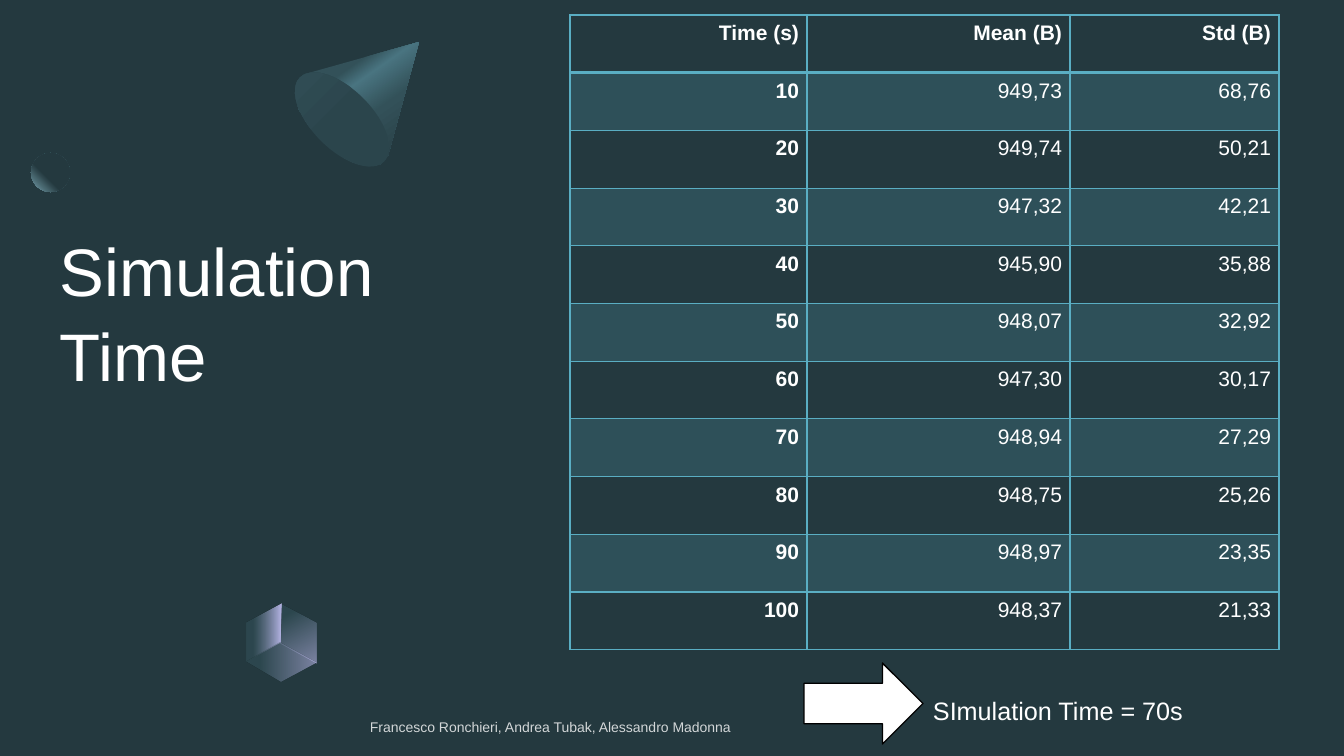
from lxml import etree
from pptx import Presentation
from pptx.dml.color import RGBColor
from pptx.enum.shapes import MSO_SHAPE
from pptx.enum.text import MSO_ANCHOR, PP_ALIGN
from pptx.oxml import parse_xml
from pptx.oxml.ns import nsdecls, qn
from pptx.util import Pt

PX = 9072
OVAL, ARROW = MSO_SHAPE.OVAL, MSO_SHAPE.RIGHT_ARROW
TOP, MIDDLE, BOTTOM = MSO_ANCHOR.TOP, MSO_ANCHOR.MIDDLE, MSO_ANCHOR.BOTTOM
RIGHT = PP_ALIGN.RIGHT
COLORS = {
    "night": "24393F", "slate": "335159", "shade": "2B454C", "teal": "497480",
    "mist": "7CA8B4", "lilac": "B8B6E7", "accent": "5AAEC3",
    "white": "FFFFFF", "black": "000000",
}


def style_text(para, text, size, bold=False):
    para.text = text
    para.font.name = "Arial"
    para.font.size = Pt(size)
    para.font.bold = bold
    para.font.color.rgb = RGBColor.from_string(COLORS["white"])


def paint_gradient(shape, stops, direction):
    shape.shadow.inherit = False
    shape.line.fill.background()
    shape.fill.background()
    marks = "".join(
        f'<a:gs pos="{place * 1000}"><a:srgbClr val="{COLORS[color]}">'
        f'<a:alpha val="{alpha * 1000}"/></a:srgbClr></a:gs>'
        for place, color, alpha in stops)
    gradient = parse_xml(
        f'<a:gradFill {nsdecls("a")} rotWithShape="1">'
        f'<a:gsLst>{marks}</a:gsLst>{direction}</a:gradFill>')
    properties = shape._element.spPr
    properties.replace(properties.find(qn("a:noFill")), gradient)


deck = Presentation()
deck.slide_width, deck.slide_height = 1344 * PX, 756 * PX
page = deck.slides.add_slide(deck.slide_layouts[6])
page.background.fill.solid()
page.background.fill.fore_color.rgb = RGBColor.from_string(COLORS["night"])

ball = page.shapes.add_shape(OVAL, 31 * PX, 153 * PX, 39 * PX, 39 * PX)
paint_gradient(
    ball, [(60, "night", 100), (100, "mist", 100)],
    '<a:path path="circle"><a:fillToRect l="100000" b="100000"/></a:path>')

rim_curves = [
    [(388, 156), (387, 158), (385, 160), (384, 161)],
    [(384, 161), (373, 173), (345, 164), (322, 140)],
    [(322, 140), (297, 117), (288, 89), (300, 78)],
    [(300, 78), (302, 76), (303, 75), (305, 74)],
]
rim = []
for curve in rim_curves:
    for step in range(13):
        t = step / 12
        weights = [(1 - t) ** 3, 3 * t * (1 - t) ** 2, 3 * t ** 2 * (1 - t), t ** 3]
        rim.append([sum(w * point[axis] for w, point in zip(weights, curve))
                    for axis in (0, 1)])
outline = page.shapes.build_freeform(419, 42, PX)
outline.add_line_segments(rim, close=True)
paint_gradient(
    outline.convert_to_shape(),
    [(30, "slate", 100), (40, "teal", 100), (60, "slate", 100), (100, "night", 100)],
    f'<a:lin ang="{55 * 60000}" scaled="0"/>')

cone_base = page.shapes.add_shape(OVAL, 312 * PX, 60 * PX, 60 * PX, 119 * PX)
cone_base.rotation = 135
paint_gradient(cone_base, [(50, "shade", 100), (100, "slate", 100)],
               f'<a:lin ang="{90 * 60000}" scaled="0"/>')

center, top, bottom = (280, 643), (281, 604), (281, 682)
upper_left, lower_left = (247, 623), (247, 662)
upper_right, lower_right = (316, 623), (316, 663)
cube_faces = [
    ([upper_right, top, center, lower_right], 60, 60),
    ([lower_left, upper_left, top, center], 0, 100),
    ([lower_right, bottom, lower_left, center], 0, 60),
]
for corners, angle, lilac_alpha in cube_faces:
    outline = page.shapes.build_freeform(*corners[0], PX)
    outline.add_line_segments(corners[1:], close=True)
    paint_gradient(outline.convert_to_shape(),
                   [(20, "slate", 60), (100, "lilac", lilac_alpha)],
                   f'<a:lin ang="{angle * 60000}" scaled="0"/>')

labels = [
    ("Simulation Time", 48, (60, 60, 393, 335), BOTTOM, 0, 0, 1.05, 0),
    ("Francesco Ronchieri, Andrea Tubak, Alessandro Madonna", 10,
     (370, 718, 704, 17), MIDDLE, 0, 0, 1.0, 6),
    ("SImulation Time = 70s", 18, (923, 690, 278, 27), TOP, 10, 5, 1.0, 6),
]
for text, size, place, anchor, side, edge, spacing, after in labels:
    box = page.shapes.add_textbox(*[length * PX for length in place])
    frame = box.text_frame
    frame.word_wrap = True
    frame.vertical_anchor = anchor
    frame.margin_left = frame.margin_right = side * PX
    frame.margin_top = frame.margin_bottom = edge * PX
    para = frame.paragraphs[0]
    style_text(para, text, size)
    para.line_spacing = spacing
    para.space_after = Pt(after)
    if size == 10:
        tint = next(para._p.iter(qn("a:srgbClr")))
        etree.SubElement(tint, qn("a:alpha"), val="80000")

rows = [
    ("Time (s)", "Mean (B)", "Std (B)"),
    ("10", "949,73", "68,76"),
    ("20", "949,74", "50,21"),
    ("30", "947,32", "42,21"),
    ("40", "945,90", "35,88"),
    ("50", "948,07", "32,92"),
    ("60", "947,30", "30,17"),
    ("70", "948,94", "27,29"),
    ("80", "948,75", "25,26"),
    ("90", "948,97", "23,35"),
    ("100", "948,37", "21,33"),
]
table = page.shapes.add_table(
    len(rows), 3, 570 * PX, 15 * PX, 709 * PX, 635 * PX).table
table.first_row = table.horz_banding = False
for column, width in zip(table.columns, (237, 263, 209)):
    column.width = width * PX
for row, values in enumerate(rows):
    for column, value in enumerate(values):
        cell = table.cell(row, column)
        cell.margin_left, cell.margin_top = 0, 3 * PX
        cell.margin_right, cell.margin_bottom = 8 * PX, 23 * PX
        para = cell.text_frame.paragraphs[0]
        style_text(para, value, 15, row == 0 or column == 0)
        para.alignment = RIGHT
        para.line_spacing = 1.15
        para.space_after = Pt(10)
        properties = cell._tc.get_or_add_tcPr()
        for side in ("lnL", "lnR", "lnT", "lnB"):
            heavy = (row, side) in ((0, "lnB"), (1, "lnT"))
            properties.append(parse_xml(
                f'<a:{side} {nsdecls("a")} w="{Pt(2 if heavy else 1)}"><a:solidFill>'
                f'<a:srgbClr val="{COLORS["accent"]}"/></a:solidFill></a:{side}>'))
        if row % 2:
            cell.fill.solid()
            cell.fill.fore_color.rgb = RGBColor.from_string(COLORS["accent"])
            tint = properties.find(qn("a:solidFill")).find(qn("a:srgbClr"))
            etree.SubElement(tint, qn("a:alpha"), val="20000")
        else:
            cell.fill.background()

arrow = page.shapes.add_shape(ARROW, 804 * PX, 663 * PX, 119 * PX, 81 * PX)
arrow.shadow.inherit = False
arrow.fill.solid()
arrow.fill.fore_color.rgb = RGBColor.from_string(COLORS["white"])
arrow.line.color.rgb = RGBColor.from_string(COLORS["black"])
arrow.line.width = Pt(1)

deck.save("out.pptx")
